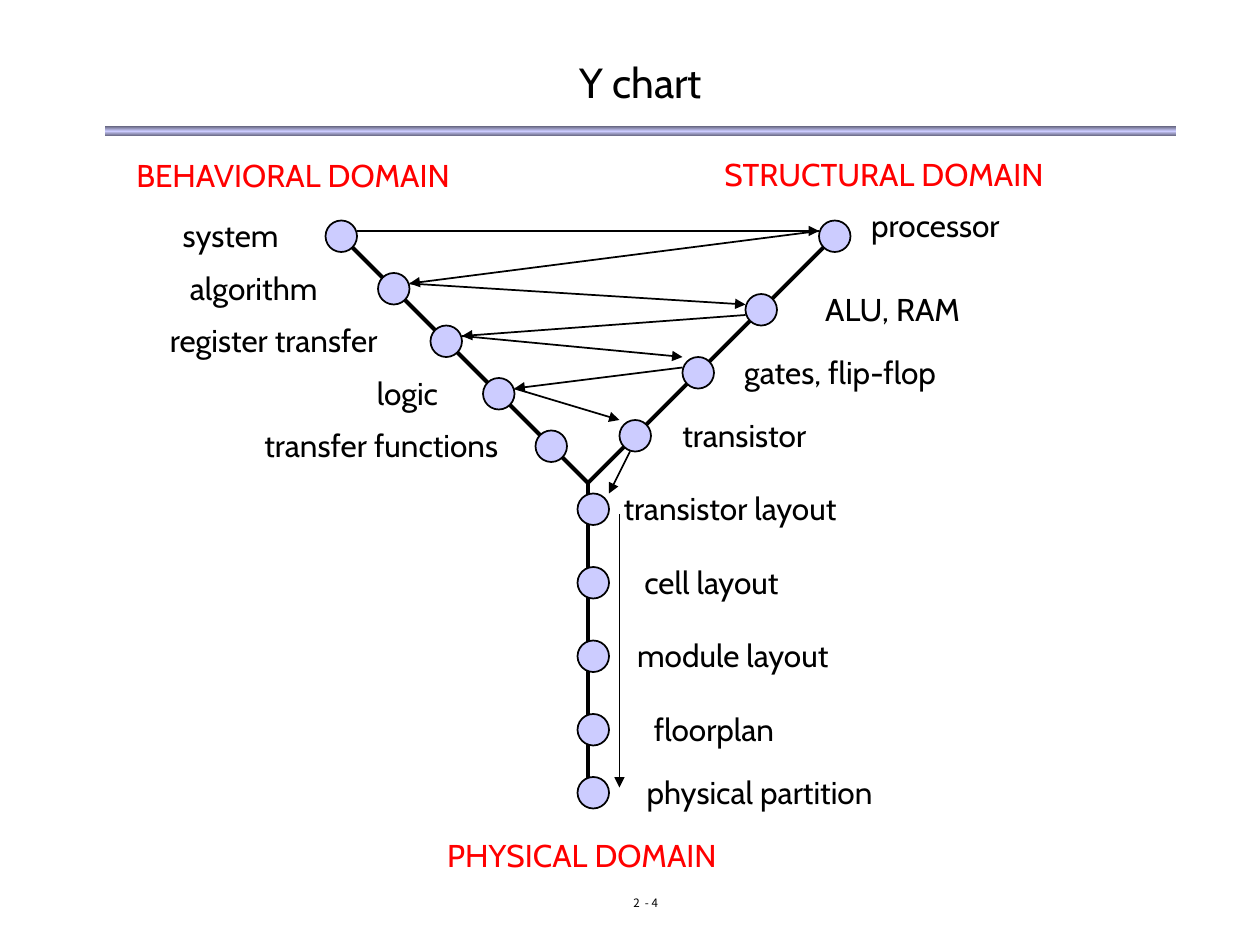
"""Build the Y chart slide with its behavioral, structural and physical axes."""
from copy import deepcopy
from itertools import pairwise

from lxml.etree import SubElement
from pptx import Presentation
from pptx.dml.color import RGBColor
from pptx.enum.shapes import MSO_CONNECTOR, MSO_SHAPE
from pptx.enum.text import MSO_ANCHOR, MSO_AUTO_SIZE, PP_ALIGN
from pptx.oxml.ns import qn
from pptx.util import Emu, Pt

EMU_PER_PX = 914400 // 120
BLACK, RED, LILAC, SLATE = "000000", "FF0000", "CCCCFF", "5E5E76"
NODE_SIZE = 30
LABEL_HEIGHT = 48
CENTER = (560, 460)
AXIS_ENDS = [(320, 220), (800, 220), (560, 760)]

# Each level: node left, node top, label, label left, label top, label width
LEVELS = [
    (310, 210, "system", 162, 200, 124),
    (360, 260, "algorithm", 169, 250, 162),
    (410, 310, "register transfer", 150, 300, 254),
    (460, 360, "logic", 347, 350, 90),
    (510, 410, "transfer functions", 240, 400, 276),
    (780, 210, "processor", 818, 190, 163),
    (710, 280, "ALU, RAM", 774, 270, 162),
    (650, 340, "gates, flip-flop", 697, 330, 226),
    (590, 400, "transistor", 638, 390, 160),
    (550, 470, "transistor layout", 582, 460, 256),
    (550, 540, "cell layout", 602, 530, 166),
    (550, 610, "module layout", 595, 600, 227),
    (550, 680, "floorplan", 611, 670, 152),
    (550, 740, "physical partition", 604, 730, 266),
]
DOMAINS = [
    ("BEHAVIORAL DOMAIN", 118, 143, 338),
    ("STRUCTURAL DOMAIN", 678, 142, 341),
    ("PHYSICAL DOMAIN", 414, 790, 294),
]
DESIGN_PATHS = [
    [(340, 220), (780, 220), (390, 270), (710, 290)],
    [(710, 300), (440, 320), (650, 340)],
    [(650, 350), (490, 370), (590, 400)],
    [(600, 430), (580, 470)],
    [(590, 490), (590, 750)],
]


def px(*lengths):
    """Turn pixel lengths into a list of EMU."""
    return [Emu(length * EMU_PER_PX) for length in lengths]


def color(hex_code):
    """Return the colour for a hex string."""
    return RGBColor.from_string(hex_code)


def add_text(slide, text, frame, size=18, font="Cabin", hex_code=BLACK):
    """Add a one-paragraph text box and return its text frame."""
    text_frame = slide.shapes.add_textbox(*px(*frame)).text_frame
    text_frame.text = text
    text_frame.word_wrap = True
    span = text_frame.paragraphs[0].runs[0]
    span.font.size = Pt(size)
    span.font.name = font
    span.font.color.rgb = color(hex_code)
    for tag in ("a:ea", "a:cs"):
        SubElement(span.font._element, qn(tag), typeface=font)
    return text_frame


def add_label(slide, text, left, top, width, hex_code=BLACK):
    """Add a label that stays on one line."""
    frame = (left, top, width, LABEL_HEIGHT)
    text_frame = add_text(slide, text, frame, hex_code=hex_code)
    text_frame.word_wrap = False
    text_frame.auto_size = MSO_AUTO_SIZE.SHAPE_TO_FIT_TEXT


def add_title(slide, text):
    """Add the centred slide title without insets."""
    text_frame = add_text(slide, text, (100, 53, 1020, 50), size=24)
    text_frame.margin_left = text_frame.margin_right = 0
    text_frame.margin_top = text_frame.margin_bottom = 0
    text_frame.vertical_anchor = MSO_ANCHOR.MIDDLE
    text_frame.paragraphs[0].alignment = PP_ALIGN.CENTER


def add_page_number(slide, text):
    """Add the small centred page number."""
    frame = (490, 850, 250, 30)
    para = add_text(slide, text, frame, 6.6, "Noto Sans CJK KR").paragraphs[0]
    para.alignment = PP_ALIGN.CENTER
    para.line_spacing = 0.8


def add_title_bar(slide):
    """Add the bar under the title, light in the middle and dark at the edges."""
    bar = slide.shapes.add_shape(MSO_SHAPE.RECTANGLE, *px(100, 120, 1020, 10))
    bar.shadow.inherit = False
    bar.line.fill.background()
    bar.fill.gradient()
    bar.fill.gradient_angle = 90
    stop_list = bar._element.spPr.find(".//" + qn("a:gsLst"))
    stop_list.insert(1, deepcopy(stop_list[0]))
    stops = zip(bar.fill.gradient_stops, (0, 0.5, 1), (SLATE, LILAC, SLATE))
    for stop, position, hex_code in stops:
        stop.position = position
        stop.color.rgb = color(hex_code)


def add_line(slide, start, end, width, arrow=False):
    """Add a straight black line, with an arrowhead at its end if asked."""
    line = slide.shapes.add_connector(MSO_CONNECTOR.STRAIGHT, *px(*start, *end))
    line.line.width = Pt(width)
    line.line.color.rgb = color(BLACK)
    if arrow:
        SubElement(line.line._get_or_add_ln(), qn("a:tailEnd"), type="triangle")
    SubElement(line._element.spPr, qn("a:effectLst"))


def add_node(slide, left, top):
    """Add the circle that marks one level on an axis."""
    frame = px(left, top, NODE_SIZE, NODE_SIZE)
    node = slide.shapes.add_shape(MSO_SHAPE.OVAL, *frame)
    node.shadow.inherit = False
    node.fill.solid()
    node.fill.fore_color.rgb = color(LILAC)
    node.line.color.rgb = color(BLACK)
    node.line.width = Pt(1)


def main():
    """Build and save the deck."""
    deck = Presentation()
    deck.slide_width, deck.slide_height = px(1200, 900)
    slide = deck.slides.add_slide(deck.slide_layouts[6])
    add_title_bar(slide)
    add_title(slide, "Y chart")
    add_page_number(slide, "2  - 4")
    for end in AXIS_ENDS:
        add_line(slide, CENTER, end, 2.25)
    for node_left, node_top, *_ in LEVELS:
        add_node(slide, node_left, node_top)
    for _, _, *label in LEVELS:
        add_label(slide, *label)
    for domain in DOMAINS:
        add_label(slide, *domain, hex_code=RED)
    for path in DESIGN_PATHS:
        for start, end in pairwise(path):
            add_line(slide, start, end, 1, arrow=True)
    deck.save("out.pptx")


if __name__ == "__main__":
    main()
